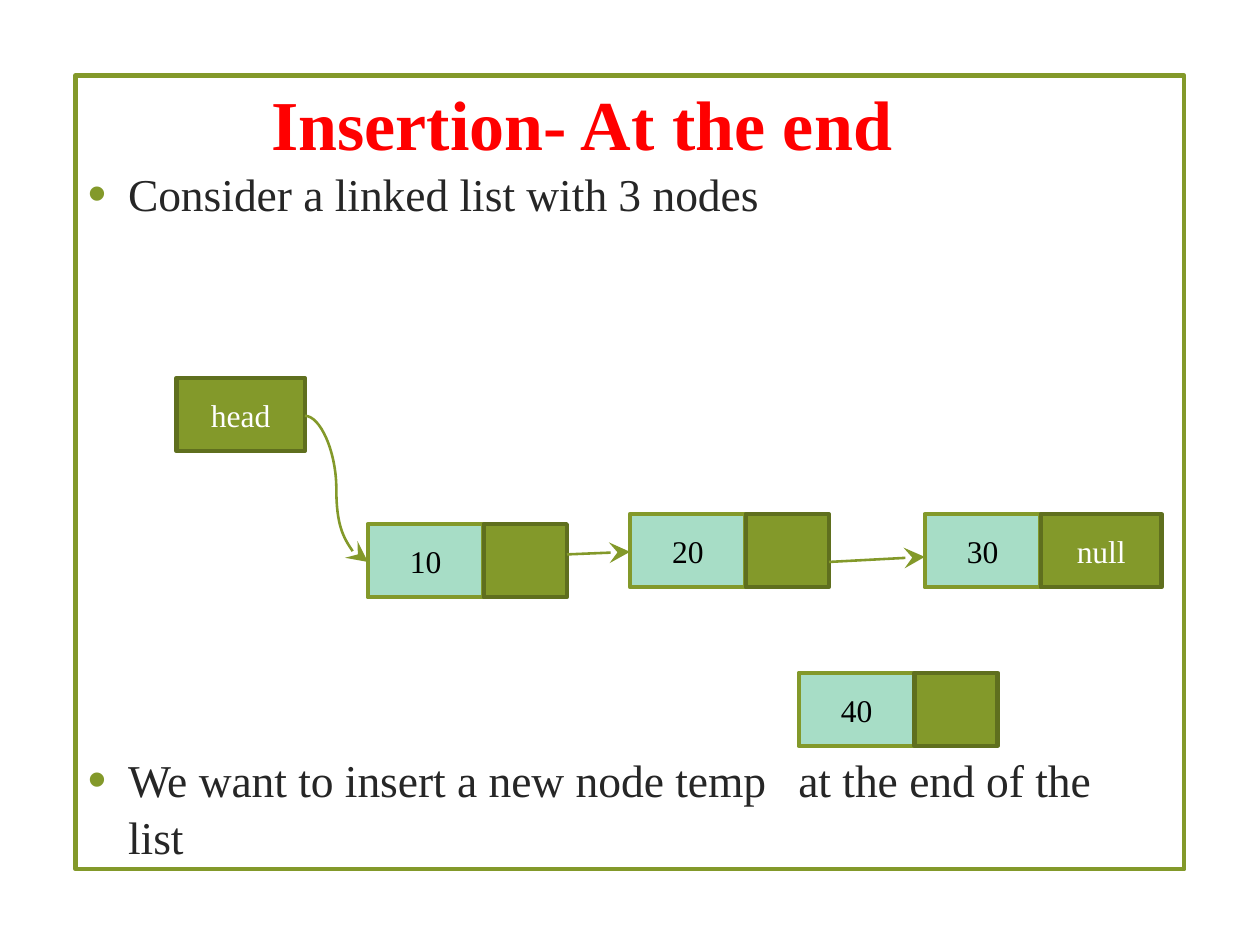
"""Build a slide on inserting a node at the end of a linked list."""
from dataclasses import dataclass

from lxml.etree import SubElement
from pptx import Presentation
from pptx.dml.color import RGBColor
from pptx.enum.shapes import MSO_CONNECTOR, MSO_SHAPE
from pptx.enum.text import MSO_ANCHOR, PP_ALIGN
from pptx.oxml.ns import qn
from pptx.slide import Slide
from pptx.text.text import _Paragraph
from pptx.util import Pt

PX = 9144
FACE = "Times New Roman"
GREEN = RGBColor(0x83, 0x99, 0x2A)
DARK = RGBColor(0x5F, 0x6F, 0x1E)
MINT = RGBColor(0xA7, 0xDD, 0xC6)
RED = RGBColor(0xFF, 0x00, 0x00)
GREY = RGBColor(0x26, 0x26, 0x26)
BLACK = RGBColor(0x00, 0x00, 0x00)
WHITE = RGBColor(0xFF, 0xFF, 0xFF)
HIGH, DATA = 29, 46


@dataclass(frozen=True)
class Node:
    """A list node: data cell, then link cell."""
    left: int
    top: int
    data: str
    link: str = ""
    width: int = 33


@dataclass(frozen=True)
class Arrow:
    """An arrow between two points."""
    start: tuple[int, int]
    end: tuple[int, int]
    kind: MSO_CONNECTOR = MSO_CONNECTOR.STRAIGHT


NODES = [
    Node(250, 204, "20"),
    Node(146, 208, "10"),
    Node(367, 204, "30", "null", 48),
    Node(317, 267, "40"),
]
ARROWS = [
    Arrow((121, 165), (146, 223), MSO_CONNECTOR.CURVE),
    Arrow((225, 220), (250, 219)),
    Arrow((329, 223), (367, 221)),
]


def style(para: _Paragraph, size: int, color: RGBColor, bold: bool = False) -> None:
    """Format every run of a paragraph."""
    for run in para.runs:
        run.font.name, run.font.size, run.font.bold = FACE, Pt(size), bold
        run.font.color.rgb = color


def draw_box(slide: Slide, left: int, top: int, width: int, high: int,
             fill: RGBColor | None, line: RGBColor,
             text: str = "", ink: RGBColor = WHITE) -> None:
    """Draw one outlined box with an optional label."""
    box = slide.shapes.add_shape(
        MSO_SHAPE.RECTANGLE, left * PX, top * PX, width * PX, high * PX)
    box.shadow.inherit = False
    if fill is None:
        box.fill.background()
    else:
        box.fill.solid()
        box.fill.fore_color.rgb = fill
    box.line.color.rgb = line
    box.line.width = Pt(1.25)
    if text:
        frame = box.text_frame
        frame.text = text
        frame.vertical_anchor = MSO_ANCHOR.MIDDLE
        frame.paragraphs[0].alignment = PP_ALIGN.CENTER
        style(frame.paragraphs[0], 9, ink)


def draw_node(slide: Slide, node: Node) -> None:
    """Draw the two cells of a node."""
    draw_box(slide, node.left, node.top, DATA, HIGH, MINT, GREEN, node.data, BLACK)
    draw_box(slide, node.left + DATA, node.top, node.width, HIGH, GREEN, DARK, node.link)


def draw_arrow(slide: Slide, arrow: Arrow) -> None:
    """Draw a connector with a stealth head."""
    ends = [n * PX for n in arrow.start + arrow.end]
    wire = slide.shapes.add_connector(arrow.kind, *ends)
    wire.line.color.rgb = GREEN
    wire.line.width = Pt(0.75)
    SubElement(wire.line._get_or_add_ln(), qn("a:tailEnd"), type="stealth")
    SubElement(wire._element.spPr, qn("a:effectLst"))


def add_bullet(para: _Paragraph) -> None:
    """Give a paragraph a green bullet, a hanging indent and a tab stop."""
    props = para._p.get_or_add_pPr()
    props.set("marL", str(16 * PX))
    props.set("indent", str(-16 * PX))
    tint = SubElement(props, qn("a:buClr"))
    SubElement(tint, qn("a:srgbClr"), val=str(GREEN))
    SubElement(props, qn("a:buSzPct"), val="115000")
    SubElement(props, qn("a:buFont"), typeface="Arial")
    SubElement(props, qn("a:buChar"), char="•")
    tabs = SubElement(props, qn("a:tabLst"))
    SubElement(tabs, qn("a:tab"), pos=str(282 * PX), algn="l")


def draw_title(slide: Slide) -> None:
    """Write the heading."""
    box = slide.shapes.add_textbox(6 * PX, 25 * PX, 450 * PX, 47 * PX)
    frame = box.text_frame
    frame.word_wrap = True
    frame.vertical_anchor = MSO_ANCHOR.MIDDLE
    frame.text = "Insertion- At the end"
    frame.paragraphs[0].alignment = PP_ALIGN.CENTER
    style(frame.paragraphs[0], 20, RED, True)


def draw_body(slide: Slide) -> None:
    """Write the bullets above and below the diagram."""
    box = slide.shapes.add_textbox(25 * PX, 60 * PX, 442 * PX, 277 * PX)
    frame = box.text_frame
    frame.word_wrap = True
    frame.text = ("Consider a linked list with 3 nodes\n"
                  "We want to insert a new node temp\tat the end of the list")
    for para in frame.paragraphs:
        add_bullet(para)
        para.line_spacing = 1.05
        style(para, 13, GREY)
    frame.paragraphs[1].space_before = Pt(151)


def main() -> None:
    """Build and save the deck."""
    deck = Presentation()
    deck.slide_width, deck.slide_height = 500 * PX, 375 * PX
    slide = deck.slides.add_slide(deck.slide_layouts[6])
    draw_box(slide, 30, 30, 440, 315, None, GREEN)
    draw_title(slide)
    draw_body(slide)
    draw_box(slide, 70, 150, 51, HIGH, GREEN, DARK, "head")
    for node in NODES:
        draw_node(slide, node)
    for arrow in ARROWS:
        draw_arrow(slide, arrow)
    deck.save("out.pptx")


if __name__ == "__main__":
    main()
